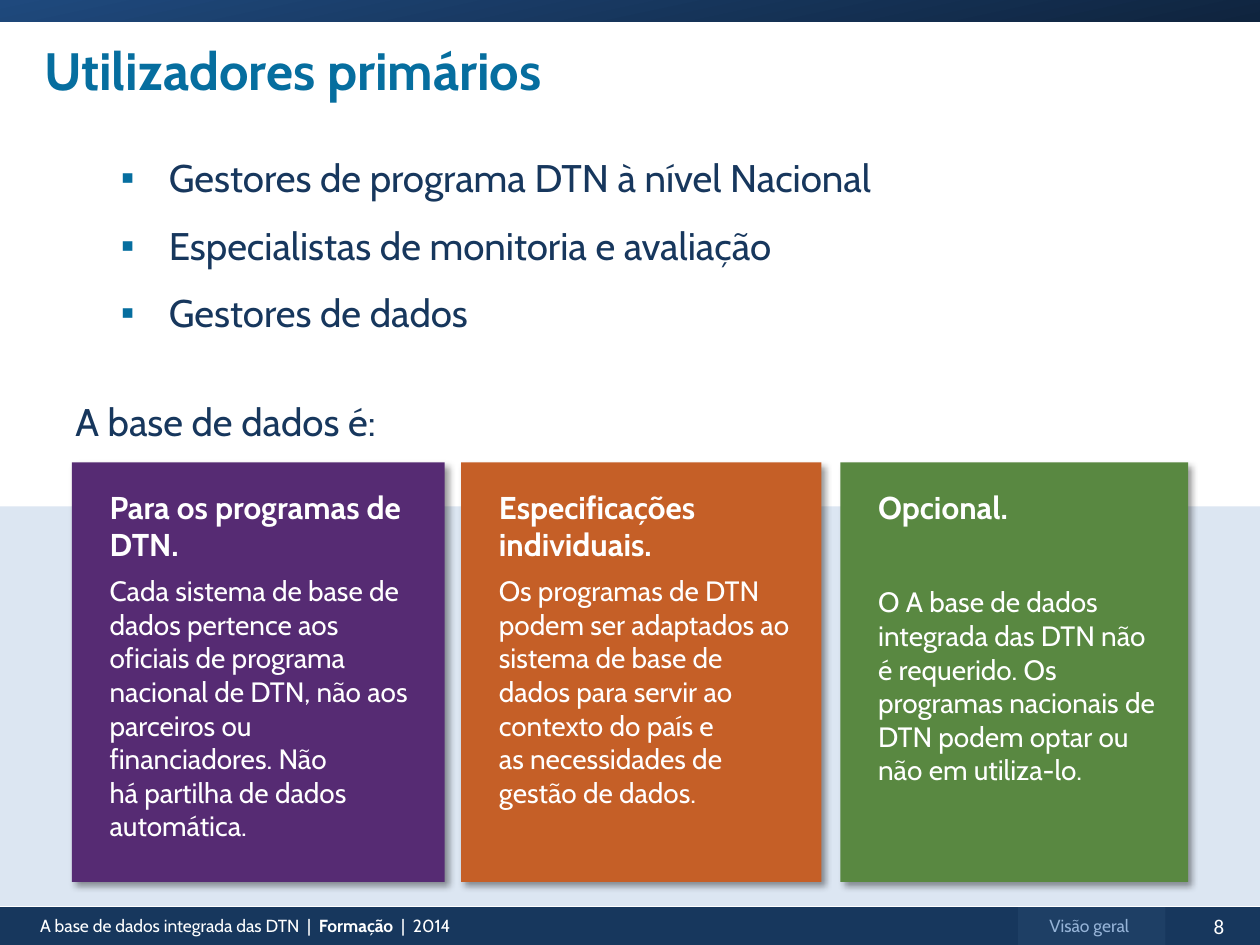
from dataclasses import dataclass
from typing import NamedTuple

import pptx
import pptx.dml.color
import pptx.enum.shapes
import pptx.enum.text
import pptx.oxml
import pptx.oxml.ns
import pptx.util
from lxml import etree

Pt = pptx.util.Pt
Inches = pptx.util.Inches
PP_ALIGN = pptx.enum.text.PP_ALIGN
ANCHOR = pptx.enum.text.MSO_ANCHOR

WIDTH, HEIGHT = Inches(10), Inches(7.5)
COLUMNS, ROWS = 100, 75


@dataclass(frozen=True)
class Theme:
    font: str = "Cabin"
    number_font: str = "Calibri"
    blue: str = "066E9F"
    navy: str = "17375D"
    tab: str = "1E3F65"
    tab_text: str = "95B3D7"
    pale: str = "DCE6F2"
    white: str = "FFFFFF"
    bar_start: str = "1F497D"
    bar_end: str = "0F243E"
    purple: str = "562B73"
    orange: str = "C55F27"
    green: str = "598841"
    title_size: int = 30
    list_size: int = 22
    heading_size: int = 18
    card_size: int = 16
    number_size: int = 12
    footer_size: int = 10


class Area(NamedTuple):
    """Left, top, width and height in grid columns and rows."""
    col: float
    row: float
    cols: float
    rows: float

    def box(self) -> tuple:
        return (int(WIDTH * self.col / COLUMNS), int(HEIGHT * self.row / ROWS),
                int(WIDTH * self.cols / COLUMNS), int(HEIGHT * self.rows / ROWS))


class Card(NamedTuple):
    col: float
    cols: float
    color: str
    heading: str
    body: str
    gap: int = 6


THEME = Theme()
AUDIENCE = ("Gestores de programa DTN à nível Nacional",
            "Especialistas de monitoria e avaliação",
            "Gestores de dados")
CARDS = (
    Card(5.7, 29.6, THEME.purple, "Para os programas de DTN.",
         "Cada sistema de base de dados pertence aos oficiais de programa nacional de DTN, "
         "não aos parceiros ou financiadores. Não \nhá partilha de dados automática."),
    Card(36.6, 28.6, THEME.orange, "Especificações individuais.",
         "Os programas de DTN podem ser adaptados ao sistema de base de dados para servir "
         "ao contexto do país e \nas necessidades de gestão de dados."),
    Card(66.7, 27.6, THEME.green, "Opcional.",
         "O A base de dados integrada das DTN não é requerido. Os programas nacionais de "
         "DTN podem optar ou não em utiliza-lo.", gap=34),
)


def rgb(color: str) -> pptx.dml.color.RGBColor:
    return pptx.dml.color.RGBColor.from_string(color)


def add_run(paragraph, text: str, size: int, color: str, bold: bool = False,
            font: str = THEME.font) -> None:
    for index, line in enumerate(text.split("\n")):
        if index:
            paragraph.add_line_break()
        run = paragraph.add_run()
        run.text = line
        run.font.name, run.font.size, run.font.bold = font, Pt(size), bold
        run.font.color.rgb = rgb(color)


def place(shape, area: Area) -> None:
    shape.left, shape.top, shape.width, shape.height = area.box()


def add_block(slide, area: Area, color: str):
    block = slide.shapes.add_shape(pptx.enum.shapes.MSO_SHAPE.RECTANGLE, *area.box())
    block.shadow.inherit = False
    block.fill.solid()
    block.fill.fore_color.rgb = rgb(color)
    block.line.fill.background()
    return block


def add_label(slide, area: Area, align=PP_ALIGN.LEFT):
    """Add a text box and return its first paragraph."""
    frame = slide.shapes.add_textbox(*area.box()).text_frame
    frame.word_wrap = True
    frame.vertical_anchor = ANCHOR.MIDDLE
    frame.paragraphs[0].alignment = align
    return frame.paragraphs[0]


def add_bullet(paragraph, color: str) -> None:
    props = paragraph._p.get_or_add_pPr()
    props.set("marL", str(Inches(0.57)))
    props.set("indent", str(-Inches(0.38)))
    tint = etree.SubElement(props, pptx.oxml.ns.qn("a:buClr"))
    etree.SubElement(tint, pptx.oxml.ns.qn("a:srgbClr"), val=color)
    etree.SubElement(props, pptx.oxml.ns.qn("a:buFont"), typeface="Arial")
    etree.SubElement(props, pptx.oxml.ns.qn("a:buChar"), char="▪")


def add_shadow(shape) -> None:
    effects = shape._element.spPr.find(pptx.oxml.ns.qn("a:effectLst"))
    effects.append(pptx.oxml.parse_xml(
        f'<a:outerShdw {pptx.oxml.ns.nsdecls("a")} blurRad="{Pt(4)}" dist="{Pt(3)}" '
        'dir="2700000" algn="tl" rotWithShape="0"><a:srgbClr val="000000">'
        '<a:alpha val="40000"/></a:srgbClr></a:outerShdw>'))


def add_card(slide, card: Card) -> None:
    block = add_block(slide, Area(card.col, 36.7, card.cols, 33.3), card.color)
    add_shadow(block)
    frame = block.text_frame
    frame.word_wrap = True
    frame.vertical_anchor = ANCHOR.TOP
    frame.margin_left, frame.margin_top = Inches(0.3), Inches(0.2)
    frame.margin_right, frame.margin_bottom = Inches(0.2), 0
    heading, body = frame.paragraphs[0], frame.add_paragraph()
    heading.alignment = body.alignment = PP_ALIGN.LEFT
    heading.space_after = Pt(card.gap)
    add_run(heading, card.heading, THEME.heading_size, THEME.white, bold=True)
    add_run(body, card.body, THEME.card_size, THEME.white)


def add_frame(slide) -> None:
    # Top bar
    bar = add_block(slide, Area(0, 0, 100, 1.7), THEME.bar_start)
    bar.fill.gradient()
    bar.fill.gradient_angle = 282
    for stop, color in zip(bar.fill.gradient_stops, (THEME.bar_start, THEME.bar_end)):
        stop.color.rgb = rgb(color)
    # Footer
    add_block(slide, Area(0, 72, 100, 3), THEME.navy)
    add_block(slide, Area(80.8, 72, 11.7, 3), THEME.tab)
    credit = add_label(slide, Area(2.2, 72.1, 45.3, 2.7))
    for text, bold in (("A base de dados integrada das DTN  |  ", False),
                       ("Formação  ", True), ("|  2014", False)):
        add_run(credit, text, THEME.footer_size, THEME.white, bold)
    section = add_label(slide, Area(80.8, 72.1, 11.3, 2.7), PP_ALIGN.CENTER)
    add_run(section, "Visão geral", THEME.footer_size, THEME.tab_text)
    number = add_label(slide, Area(93.5, 72, 6.5, 3), PP_ALIGN.CENTER)
    add_run(number, "8", THEME.number_size, THEME.white, font=THEME.number_font)


def main() -> None:
    deck = pptx.Presentation()
    deck.slide_width, deck.slide_height = WIDTH, HEIGHT
    slide = deck.slides.add_slide(deck.slide_layouts[1])
    add_frame(slide)
    add_block(slide, Area(0, 40.2, 100, 31.7), THEME.pale)

    # Title
    title = slide.shapes.title
    place(title, Area(1.5, 2.3, 48.1, 6.4))
    title.text_frame.margin_left = title.text_frame.margin_right = Inches(0.2)
    title.text_frame.vertical_anchor = ANCHOR.MIDDLE
    title.text_frame.auto_size = pptx.enum.text.MSO_AUTO_SIZE.NONE
    heading = title.text_frame.paragraphs[0]
    heading.alignment = PP_ALIGN.LEFT
    add_run(heading, "Utilizadores primários", THEME.title_size, THEME.blue, bold=True)

    # Primary users
    users = slide.placeholders[1]
    place(users, Area(6.7, 11.7, 85, 49.5))
    users.text_frame.auto_size = pptx.enum.text.MSO_AUTO_SIZE.NONE
    for index, text in enumerate(AUDIENCE):
        item = users.text_frame.add_paragraph() if index else users.text_frame.paragraphs[0]
        item.space_before, item.space_after = Pt(4.4), Pt(8)
        add_bullet(item, THEME.blue)
        add_run(item, text, THEME.list_size, THEME.navy)

    # Database traits
    lead = add_label(slide, Area(5, 31.1, 38.2, 4.7))
    add_run(lead, "A base de dados é:", THEME.list_size, THEME.navy)
    for card in CARDS:
        add_card(slide, card)

    deck.save("out.pptx")


if __name__ == "__main__":
    main()
